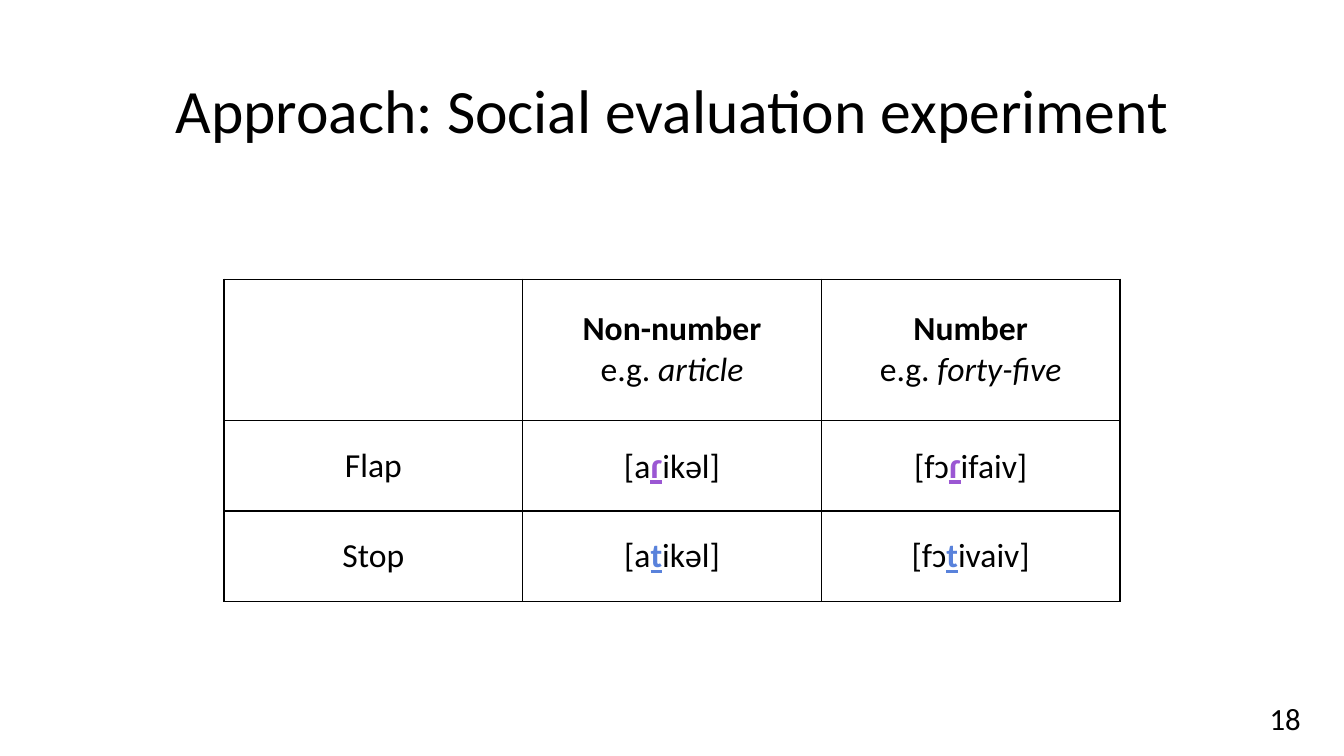
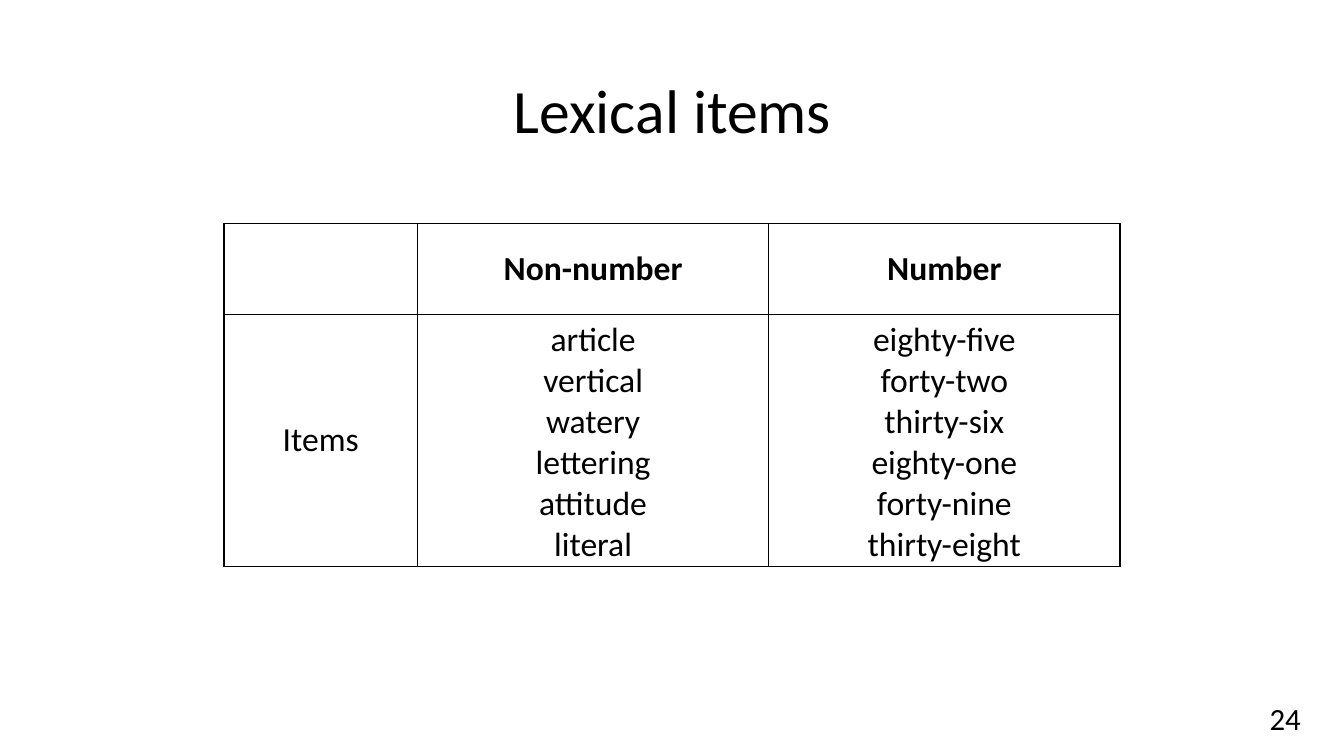
"""Build two slides with tables on a social evaluation experiment and its lexical items."""
from lxml.etree import SubElement
from pptx import Presentation
from pptx.dml.color import RGBColor
from pptx.enum.text import MSO_ANCHOR as Anchor, PP_ALIGN as Align
from pptx.oxml.ns import qn
from pptx.util import Inches, Pt

BLACK = RGBColor(0x00, 0x00, 0x00)
PURPLE = RGBColor(0x9B, 0x57, 0xD3)
BLUE = RGBColor(0x59, 0x82, 0xDB)
FONT = "Calibri"
BORDER_WIDTH = Pt(1)

PLAIN = {"size": 24}
BOLD = {"size": 24, "bold": True}
ITALIC = {"size": 24, "italic": True}
FLAP = {"size": 26, "bold": True, "underline": True, "color": PURPLE}
STOP = {"size": 24, "bold": True, "underline": True, "color": BLUE}


def add_run(paragraph, text, size, color=BLACK, bold=False, italic=False, underline=False):
    run = paragraph.add_run()
    run.text = text
    font = run.font
    font.name, font.size = FONT, Pt(size)
    font.bold, font.italic, font.underline = bold, italic, underline
    font.color.rgb = color


def add_borders(cell):
    properties = cell._tc.get_or_add_tcPr()
    for side in ("a:lnL", "a:lnR", "a:lnT", "a:lnB"):
        line = SubElement(properties, qn(side), w=str(BORDER_WIDTH))
        fill = SubElement(line, qn("a:solidFill"))
        SubElement(fill, qn("a:srgbClr"), val=str(BLACK))


non_numbers = ["article", "vertical", "watery", "lettering", "attitude", "literal"]
numbers = ["eighty-five", "forty-two", "thirty-six", "eighty-one", "forty-nine", "thirty-eight"]

pages = [
    {
        "title": "Approach: Social evaluation experiment",
        "number": "18",
        "top": 2.77,
        "columns": [1 / 3, 1 / 3, 1 / 3],
        "rows": [1.4, 0.9, 0.9],
        "cells": [
            [
                [],
                [[("Non-number", BOLD)], [("e.g. ", PLAIN), ("article", ITALIC)]],
                [[("Number", BOLD)], [("e.g. ", PLAIN), ("forty-five", ITALIC)]],
            ],
            [
                [[("Flap", PLAIN)]],
                [[("[a", PLAIN), ("ɾ", FLAP), ("ikəl]", PLAIN)]],
                [[("[fɔ", PLAIN), ("ɾ", FLAP), ("ifaiv]", PLAIN)]],
            ],
            [
                [[("Stop", PLAIN)]],
                [[("[a", PLAIN), ("t", STOP), ("ikəl]", PLAIN)]],
                [[("[fɔ", PLAIN), ("t", STOP), ("ivaiv]", PLAIN)]],
            ],
        ],
    },
    {
        "title": "Lexical items",
        "number": "24",
        "top": 2.22,
        "columns": [0.216, 0.392, 0.392],
        "rows": [0.9, 2.5],
        "cells": [
            [[], [[("Non-number", BOLD)]], [[("Number", BOLD)]]],
            [
                [[("Items", PLAIN)]],
                [[(word, PLAIN)] for word in non_numbers],
                [[(word, PLAIN)] for word in numbers],
            ],
        ],
    },
]

deck = Presentation()
deck.slide_width, deck.slide_height = Inches(13.33), Inches(7.5)
table_left, table_width = deck.slide_width // 6, deck.slide_width * 2 // 3
title_only = deck.slide_layouts[5]

for page in pages:
    slide = deck.slides.add_slide(title_only)

    title = slide.shapes.title
    title.left, title.top = Inches(0.92), Inches(0.4)
    title.width, title.height = Inches(11.5), Inches(1.45)
    title.text_frame.vertical_anchor = Anchor.MIDDLE
    heading = title.text_frame.paragraphs[0]
    heading.alignment, heading.line_spacing = Align.CENTER, 0.9
    add_run(heading, page["title"], 44)

    page_number = slide.shapes.add_textbox(Inches(10), Inches(6.89), Inches(3), Inches(0.4))
    page_number.text_frame.word_wrap = True
    number_line = page_number.text_frame.paragraphs[0]
    number_line.alignment = Align.RIGHT
    add_run(number_line, page["number"], 22)

    table = slide.shapes.add_table(
        len(page["rows"]), len(page["columns"]), table_left, Inches(page["top"]),
        table_width, Inches(sum(page["rows"]))).table
    for column, share in zip(table.columns, page["columns"]):
        column.width = round(table_width * share)
    for row, height, contents in zip(table.rows, page["rows"], page["cells"]):
        row.height = Inches(height)
        for cell, lines in zip(row.cells, contents):
            add_borders(cell)
            cell.fill.background()
            cell.vertical_anchor = Anchor.MIDDLE
            for index, line in enumerate(lines):
                frame = cell.text_frame
                paragraph = frame.add_paragraph() if index else frame.paragraphs[0]
                paragraph.alignment = Align.CENTER
                for text, style in line:
                    add_run(paragraph, text, **style)

deck.save("out.pptx")
